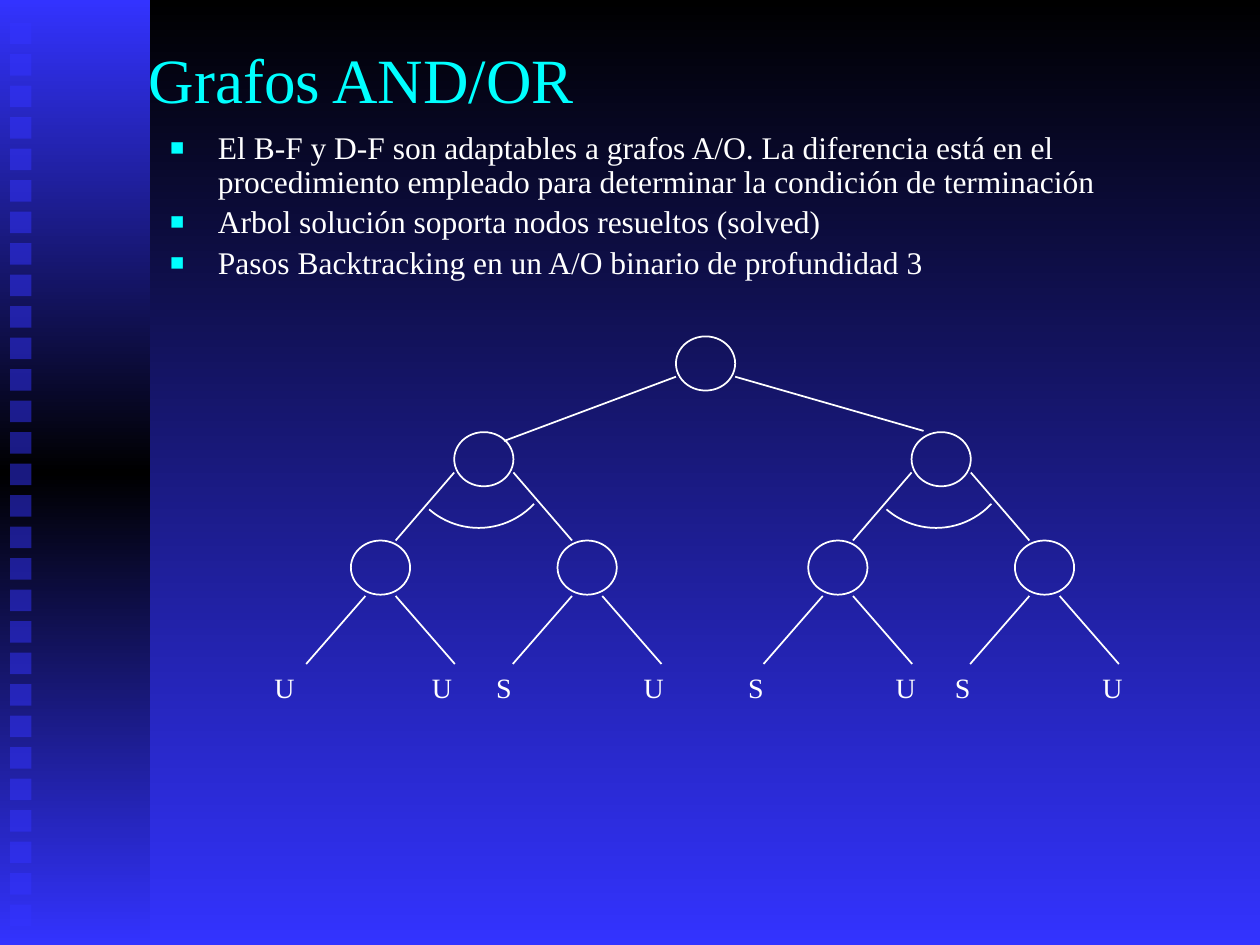
from copy import deepcopy

from pptx import Presentation
from pptx.dml.color import RGBColor
from pptx.enum.shapes import MSO_CONNECTOR as Link, MSO_SHAPE as Kind
from pptx.enum.text import MSO_ANCHOR as Anchor, MSO_AUTO_SIZE as Fit, PP_ALIGN as Align
from pptx.oxml.ns import qn
from pptx.oxml.xmlchemy import OxmlElement as make
from pptx.util import Inches, Pt

FONT = "Times New Roman"
WHITE, CYAN, BLUE, BLACK = "FFFFFF", "00FFFF", "3333FF", "000000"
NODE_W, NODE_H = 0.47, 0.43
TOPS = (2.67, 3.43, 4.29)
LEAF_Y = 5.27
ROOT_X = 5.6
BRANCHES = (3.84, 7.47)
LEAVES = [(2.08, "U"), (3.33, "U"), (3.84, "S"), (5.01, "U"),
          (5.84, "S"), (7.01, "U"), (7.48, "S"), (8.65, "U")]
POINTS = [
    "El B-F y D-F son adaptables a grafos A/O. La diferencia está en el "
    "procedimiento empleado para determinar la condición de terminación",
    "Arbol solución soporta nodos resueltos (solved)",
    "Pasos Backtracking en un A/O binario de profundidad 3",
]


def color(code):
    return RGBColor.from_string(code)


def place(shape, x, y, w, h):
    shape.left, shape.top = Inches(x), Inches(y)
    shape.width, shape.height = Inches(w), Inches(h)


def write(para, text, size=18, ink=WHITE, before=0, lines=1.0):
    para.text = text
    para.alignment = Align.LEFT
    para.space_before, para.line_spacing = Pt(before), lines
    font = para.runs[0].font
    font.name, font.size = FONT, Pt(size)
    font.color.rgb = color(ink)


def blend(fill, owner, codes):
    """Fill from top to bottom with evenly spaced colours."""
    fill.gradient()
    fill.gradient_angle = 270
    stops = next(owner.iter(qn("a:gsLst")))
    while len(stops) < len(codes):
        stops.append(deepcopy(stops[-1]))
    for i, (stop, code) in enumerate(zip(fill.gradient_stops, codes)):
        stop.position = i / (len(codes) - 1)
        stop.color.rgb = color(code)


def draw(slide, kind, x, y, w, h):
    shape = slide.shapes.add_shape(kind, Inches(x), Inches(y), Inches(w), Inches(h))
    shape.shadow.inherit = False
    return shape


def outline(shape):
    shape.fill.background()
    shape.line.color.rgb = color(WHITE)
    shape.line.width = Pt(1)


def node(slide, x, y):
    """Draw a node centred on x with its top at y."""
    outline(draw(slide, Kind.OVAL, x - NODE_W / 2, y, NODE_W, NODE_H))


def edge(slide, x1, y1, x2, y2):
    line = slide.shapes.add_connector(
        Link.STRAIGHT, Inches(x1), Inches(y1), Inches(x2), Inches(y2))
    line.line.color.rgb = color(WHITE)
    line.line.width = Pt(1)
    line.element.spPr.append(make("a:effectLst"))


def and_arc(slide, x, y, r=0.6):
    arc = draw(slide, Kind.ARC, x - r, y - r, 2 * r, 2 * r)
    outline(arc)
    # Angles are stored in 60000ths of a degree, adjustments in 100000ths
    for i, angle in enumerate((43, 131)):
        arc.adjustments[i] = angle * 0.6


def bullet(para):
    props = para._p.get_or_add_pPr()
    props.set("marL", str(Inches(0.38)))
    props.set("indent", str(-Inches(0.38)))
    tint = make("a:buClr")
    rgb = make("a:srgbClr")
    rgb.set("val", CYAN)
    tint.append(rgb)
    props.append(tint)
    for tag, key, value in (("a:buSzPct", "val", "75000"),
                            ("a:buFont", "typeface", FONT),
                            ("a:buChar", "char", "■")):
        part = make(tag)
        part.set(key, value)
        props.append(part)


def sidebar(slide):
    band = draw(slide, Kind.RECTANGLE, 0, 0, 1.19, 7.5)
    blend(band.fill, band.element, (BLUE, BLACK, BLUE))
    band.line.fill.background()
    for i in range(29):
        box = draw(slide, Kind.RECTANGLE, 0.08, 0.18 + 0.25 * i, 0.17, 0.17)
        box.fill.solid()
        box.fill.fore_color.rgb = color(BLUE)
        box.line.fill.background()
        alpha = make("a:alpha")
        alpha.set("val", "50000")
        next(box.element.spPr.iter(qn("a:srgbClr"))).append(alpha)


def heading(slide):
    title = slide.shapes.title
    place(title, 1.08, 0, 8.5, 1.25)
    frame = title.text_frame
    frame.auto_size, frame.vertical_anchor = Fit.NONE, Anchor.MIDDLE
    write(frame.paragraphs[0], "Grafos AND/OR", size=36, ink=CYAN)


def body(slide):
    box = slide.placeholders[1]
    place(box, 1.25, 1, 8.5, 1.42)
    frame = box.text_frame
    frame.auto_size = Fit.NONE
    for i, text in enumerate(POINTS):
        para = frame.add_paragraph() if i else frame.paragraphs[0]
        bullet(para)
        write(para, text, before=3.6 if i else 0, lines=0.9)


def tree(slide):
    top, mid, low = TOPS
    half = NODE_W / 2
    node(slide, ROOT_X, top)
    edge(slide, ROOT_X - half, 2.99, 4, 3.5)
    edge(slide, ROOT_X + half, 2.99, 7.33, 3.42)
    for x in BRANCHES:
        node(slide, x, mid)
        and_arc(slide, x - 0.04, 3.59)
        for side in (-1, 1):
            child = x + side * 0.82
            edge(slide, x + side * half, 3.75, x + side * 0.7, low)
            node(slide, child, low)
            for turn in (-1, 1):
                edge(slide, child + turn * 0.12, 4.73, child + turn * 0.59, LEAF_Y)


def leaves(slide):
    for x, text in LEAVES:
        box = slide.shapes.add_textbox(
            Inches(x), Inches(LEAF_Y), Inches(0.36), Inches(0.37))
        box.text_frame.word_wrap = False
        write(box.text_frame.paragraphs[0], text, size=16)


def main():
    deck = Presentation()
    deck.slide_width, deck.slide_height = Inches(10), Inches(7.5)
    slide = deck.slides.add_slide(deck.slide_layouts[1])
    blend(slide.background.fill, slide.element, (BLACK, BLUE))
    holders = list(slide.placeholders)
    sidebar(slide)
    for holder in holders:  # bring the text in front of the sidebar
        holder.element.getparent().append(holder.element)
    heading(slide)
    body(slide)
    tree(slide)
    leaves(slide)
    deck.save("out.pptx")


if __name__ == "__main__":
    main()
